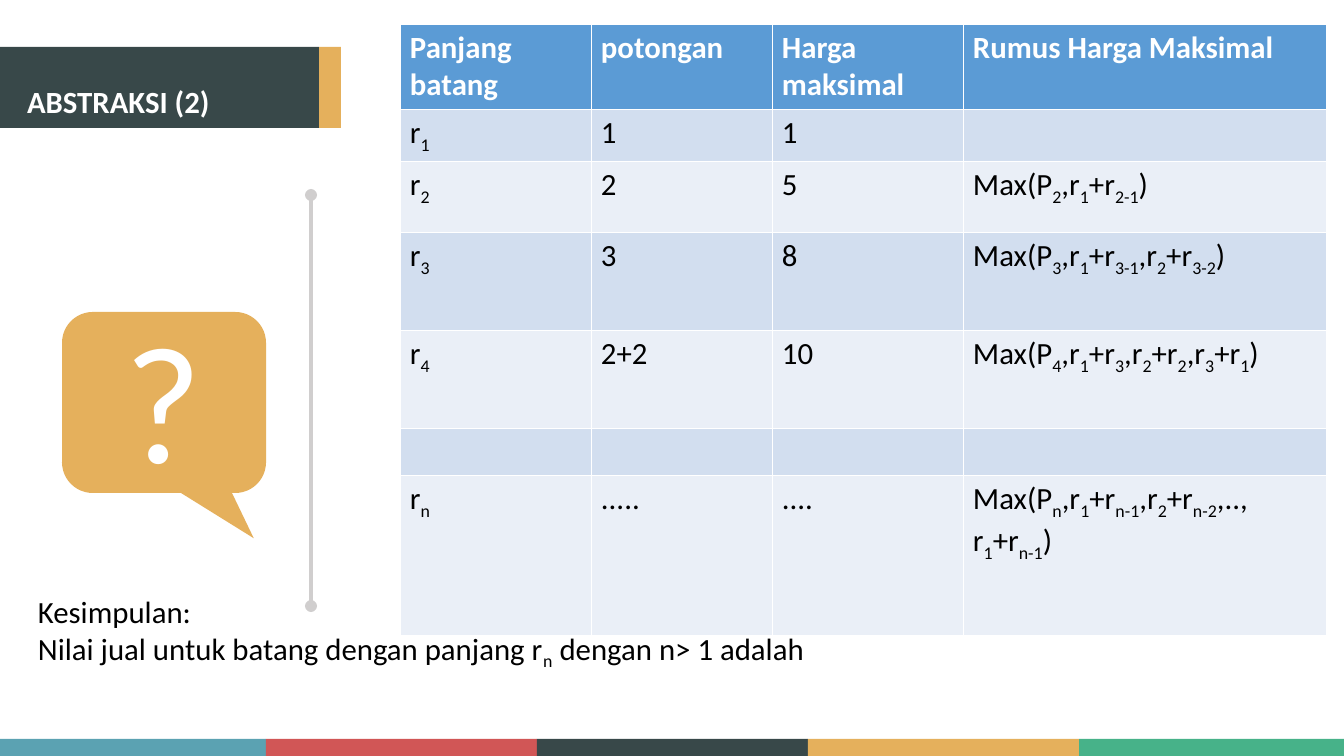
import pptx
import pptx.dml.color
import pptx.enum.shapes
import pptx.enum.text
import pptx.oxml.ns
import pptx.util
from lxml import etree

EMU_PER_PX = 914400 / 50.4
SLIDE_WIDTH, SLIDE_HEIGHT = 1344, 756
FONT = "Calibri"
BODY_SIZE = 44
COLOURS = {
    "white": "FFFFFF", "black": "000000", "grey": "D0CECE",
    "teal": "5BA2B2", "red": "D15656", "slate": "384849",
    "amber": "E5B05C", "green": "47B289",
    "header": "5B9BD5", "band_dark": "D2DEEF", "band_light": "EAEFF7",
}
COLUMN_WIDTHS = [191, 181, 191, 363]
ROW_HEIGHTS = [72, 45, 71, 98, 98, 45, 160]
# Braces mark subscripts.
TABLE_ROWS = [
    ["Panjang batang", "potongan", "Harga maksimal", "Rumus Harga Maksimal"],
    ["r{1}", "1", "1", ""],
    ["r{2}", "2", "5", "Max(P{2},r{1}+r{2-1})"],
    ["r{3}", "3", "8", "Max(P{3},r{1}+r{3-1},r{2}+r{3-2})"],
    ["r{4}", "2+2", "10", "Max(P{4},r{1}+r{3},r{2}+r{2},r{3}+r{1})"],
    ["", "", "", ""],
    ["r{n}", ".....", "....", "Max(P{n},r{1}+r{n-1},r{2}+r{n-2},.., r{1}+r{n-1})"],
]


def px(length):
    return pptx.util.Emu(round(length * EMU_PER_PX))


def colour(name):
    return pptx.dml.color.RGBColor.from_string(COLOURS[name])


def write_paragraph(para, text, colour_name, size=BODY_SIZE, bold=False):
    """Fill a paragraph, lowering the parts of the text that stand in braces."""
    para.font.name = FONT
    para.font.size = pptx.util.Pt(size)
    para.font.bold = bold
    para.font.color.rgb = colour(colour_name)
    para.alignment = pptx.enum.text.PP_ALIGN.LEFT
    for index, part in enumerate(text.replace("}", "{").split("{")):
        if part:
            span = para.add_run()
            span.text = part
            if index % 2:
                span._r.get_or_add_rPr().set("baseline", "-25000")


def add_text(slide, left, top, width, height, lines, colour_name, size=BODY_SIZE, wrap=True):
    frame = slide.shapes.add_textbox(px(left), px(top), px(width), px(height)).text_frame
    frame.word_wrap = wrap
    frame.auto_size = pptx.enum.text.MSO_AUTO_SIZE.SHAPE_TO_FIT_TEXT
    for index, line in enumerate(lines):
        para = frame.add_paragraph() if index else frame.paragraphs[0]
        write_paragraph(para, line, colour_name, size)


def add_block(slide, left, top, width, height, fill, kind="RECTANGLE"):
    preset = getattr(pptx.enum.shapes.MSO_SHAPE, kind)
    block = slide.shapes.add_shape(preset, px(left), px(top), px(width), px(height))
    block.shadow.inherit = False
    block.fill.solid()
    block.fill.fore_color.rgb = colour(fill)
    block.line.fill.background()
    return block


def add_price_table(slide):
    table = slide.shapes.add_table(
        len(ROW_HEIGHTS), len(COLUMN_WIDTHS), px(400), px(24),
        px(sum(COLUMN_WIDTHS)), px(sum(ROW_HEIGHTS))).table
    for column, width in zip(table.columns, COLUMN_WIDTHS):
        column.width = px(width)
    for row_index, texts in enumerate(TABLE_ROWS):
        table.rows[row_index].height = px(ROW_HEIGHTS[row_index])
        is_header = row_index == 0
        band = "band_dark" if row_index % 2 else "band_light"
        for column_index, text in enumerate(texts):
            cell = table.cell(row_index, column_index)
            cell.margin_left = cell.margin_right = px(10)
            cell.margin_top = cell.margin_bottom = px(5)
            cell.fill.solid()
            cell.fill.fore_color.rgb = colour("header" if is_header else band)
            write_paragraph(cell.text_frame.paragraphs[0], text,
                            "white" if is_header else "black", bold=is_header)


def add_footer_stripe(slide):
    edges = [0] + [266 + 271 * step for step in range(4)] + [SLIDE_WIDTH]
    fills = ["teal", "red", "slate", "amber", "green"]
    for left, right, fill in zip(edges, edges[1:], fills):
        add_block(slide, left, 739, right - left, 17, fill)


def add_title(slide, text):
    add_block(slide, 319, 47, 22, 81, "amber")
    add_block(slide, 0, 47, 319, 81, "slate")
    title = slide.shapes.title
    title.left, title.top, title.width, title.height = px(22), px(80), px(285), px(42)
    title.text_frame.word_wrap = True
    title.text_frame.auto_size = pptx.enum.text.MSO_AUTO_SIZE.NONE
    title.text_frame.vertical_anchor = pptx.enum.text.MSO_ANCHOR.TOP
    write_paragraph(title.text_frame.paragraphs[0], text, "white", bold=True)
    # Bring the title in front of its bar.
    slide.shapes._spTree.append(title._element)


def add_divider(slide):
    divider = slide.shapes.add_connector(
        pptx.enum.shapes.MSO_CONNECTOR.STRAIGHT, px(311), px(606), px(311), px(195))
    divider.line.color.rgb = colour("grey")
    divider.line.width = pptx.util.Pt(5.75)
    line = divider.line._get_or_add_ln()
    for end in ("a:headEnd", "a:tailEnd"):
        etree.SubElement(line, pptx.oxml.ns.qn(end), type="oval")
    etree.SubElement(divider._element.spPr, pptx.oxml.ns.qn("a:effectLst"))


def add_question_bubble(slide):
    bubble = add_block(slide, 62, 312, 204, 181, "amber", "ROUNDED_RECTANGULAR_CALLOUT")
    for index, value in enumerate([0.44, 0.75, 0.17]):
        bubble.adjustments[index] = value
    add_text(slide, 120, 294, 110, 208, ["?"], "white", size=239)


def main():
    deck = pptx.Presentation()
    deck.slide_width, deck.slide_height = px(SLIDE_WIDTH), px(SLIDE_HEIGHT)
    slide = deck.slides.add_slide(deck.slide_layouts.get_by_name("Title Only"))
    add_price_table(slide)
    add_text(slide, 33, 590, 785, 80, [
        "Kesimpulan:",
        "Nilai jual untuk batang dengan panjang r{n} dengan n> 1 adalah",
    ], "black", wrap=False)
    add_footer_stripe(slide)
    add_title(slide, "ABSTRAKSI (2)")
    add_divider(slide)
    add_question_bubble(slide)
    deck.save("out.pptx")


if __name__ == "__main__":
    main()
